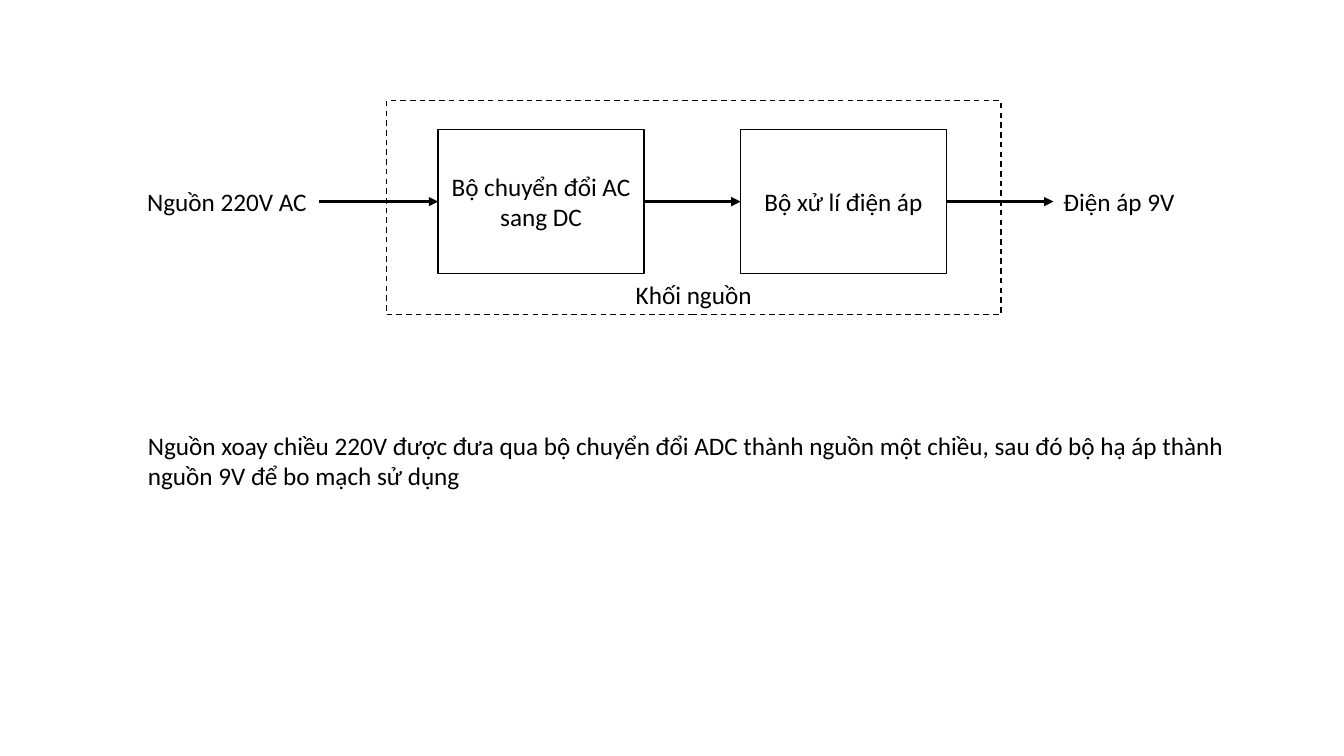
from dataclasses import dataclass
from itertools import pairwise
from lxml.etree import SubElement
from pptx import Presentation
from pptx.dml.color import RGBColor
from pptx.enum.dml import MSO_LINE
from pptx.enum.shapes import MSO_CONNECTOR, MSO_SHAPE
from pptx.enum.text import MSO_ANCHOR, MSO_AUTO_SIZE, PP_ALIGN
from pptx.oxml.ns import qn
from pptx.slide import Slide
from pptx.text.text import TextFrame
from pptx.util import Pt

COLORS = {"ink": "000000", "paper": "FFFFFF"}
FONT = "Calibri"
SIZE = 18
MID = 144  # height of the signal line


@dataclass
class Block:
    text: str
    left: float
    top: float
    width: float
    height: float
    anchor: MSO_ANCHOR = MSO_ANCHOR.MIDDLE
    dashed: bool = False


@dataclass
class Label:
    text: str
    left: float
    top: float
    width: float
    height: float


def color(name: str) -> RGBColor:
    return RGBColor.from_string(COLORS[name])


def write(frame: TextFrame, text: str, align: PP_ALIGN) -> None:
    frame.word_wrap = True
    para = frame.paragraphs[0]
    para.alignment = align
    run = para.add_run()
    run.text = text
    run.font.name = FONT
    run.font.size = Pt(SIZE)
    run.font.color.rgb = color("ink")


def add_block(slide: Slide, block: Block) -> None:
    shape = slide.shapes.add_shape(
        MSO_SHAPE.RECTANGLE, Pt(block.left), Pt(block.top),
        Pt(block.width), Pt(block.height))
    shape.shadow.inherit = False
    shape.fill.solid()
    shape.fill.fore_color.rgb = color("paper")
    shape.line.color.rgb = color("ink")
    shape.line.width = Pt(1)
    if block.dashed:
        shape.line.dash_style = MSO_LINE.DASH
    shape.text_frame.vertical_anchor = block.anchor
    write(shape.text_frame, block.text, PP_ALIGN.CENTER)


def add_label(slide: Slide, label: Label) -> None:
    box = slide.shapes.add_textbox(
        Pt(label.left), Pt(label.top), Pt(label.width), Pt(label.height))
    write(box.text_frame, label.text, PP_ALIGN.LEFT)
    box.text_frame.auto_size = MSO_AUTO_SIZE.SHAPE_TO_FIT_TEXT


def add_arrow(slide: Slide, start: float, end: float) -> None:
    arrow = slide.shapes.add_connector(
        MSO_CONNECTOR.STRAIGHT, Pt(start), Pt(MID), Pt(end), Pt(MID))
    arrow.line.color.rgb = color("ink")
    arrow.line.width = Pt(2.25)
    SubElement(arrow.line._get_or_add_ln(), qn("a:tailEnd"), type="triangle")
    SubElement(arrow._element.spPr, qn("a:effectLst"))


def main() -> None:
    deck = Presentation()
    deck.slide_width, deck.slide_height = Pt(960), Pt(540)
    slide = deck.slides.add_slide(deck.slide_layouts[6])

    wide, tall = 147, 103
    top = MID - tall / 2
    supply = Block("Khối nguồn", 276, 72, 439, 152.6, MSO_ANCHOR.BOTTOM, True)
    stages = [Block("Bộ chuyển đổi AC sang DC", 313, top, wide, tall),
              Block("Bộ xử lí điện áp", 529, top, wide, tall)]
    for block in [supply, *stages]:
        add_block(slide, block)

    source = Label("Nguồn 220V AC", 98, 129.5, 130, 29)
    output = Label("Điện áp 9V", 752.5, 129.5, 130, 29)
    note = Label("Nguồn xoay chiều 220V được đưa qua bộ chuyển đổi ADC thành "
                 "nguồn một chiều, sau đó bộ hạ áp thành nguồn 9V để "
                 "bo mạch sử dụng", 98.6, 304, 792, 51)
    for label in [source, output, note]:
        add_label(slide, label)

    for prev, after in pairwise([source, *stages, output]):
        add_arrow(slide, prev.left + prev.width, after.left)

    deck.save("out.pptx")


if __name__ == "__main__":
    main()
